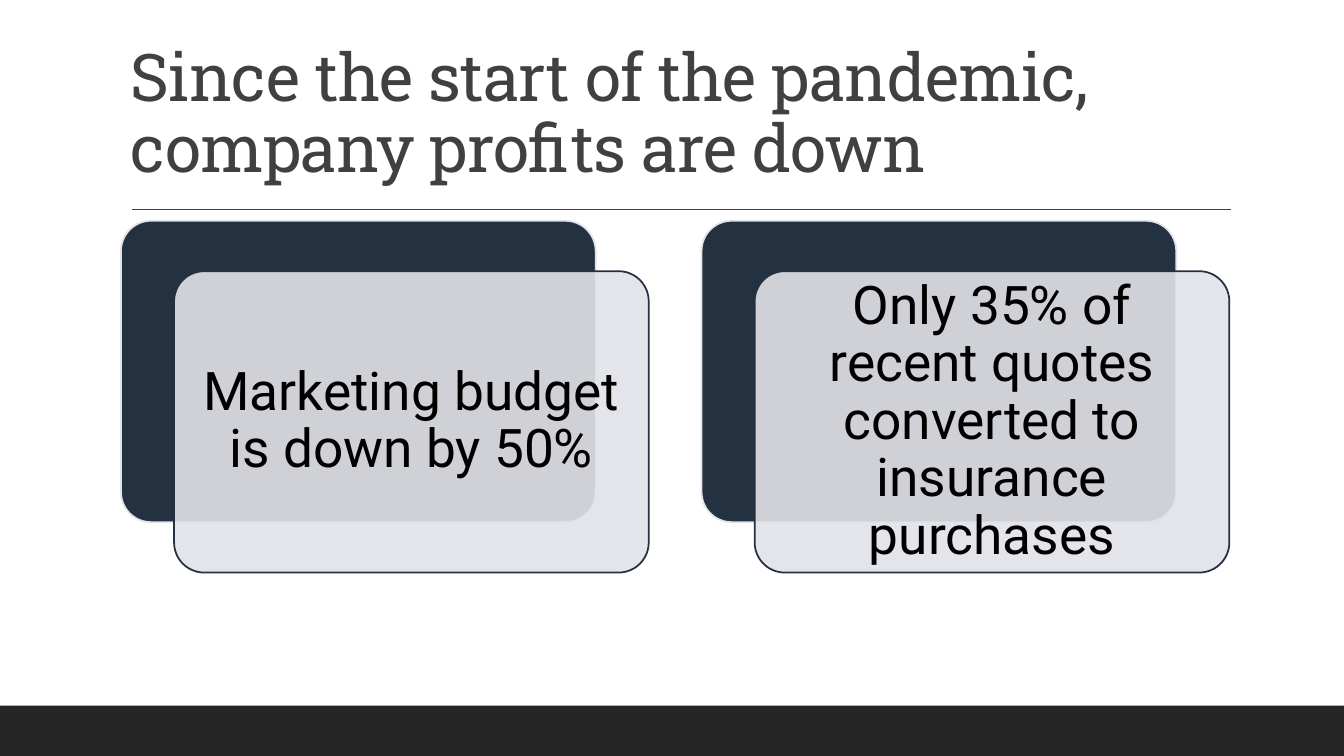
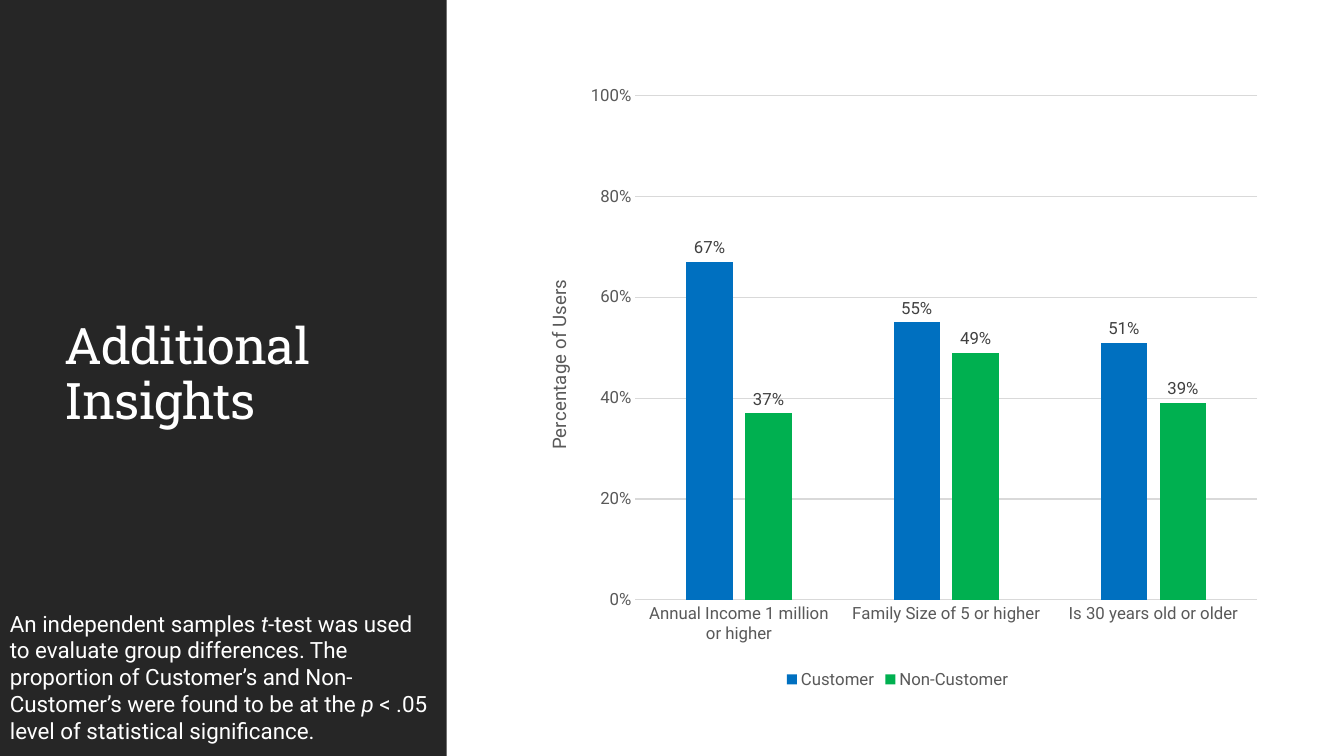
from dataclasses import dataclass

from lxml.etree import SubElement
from pptx import Presentation
from pptx.chart.data import CategoryChartData
from pptx.dml.color import RGBColor as RGB
from pptx.enum.chart import XL_CHART_TYPE as CHART, XL_LABEL_POSITION as LABEL
from pptx.enum.chart import XL_LEGEND_POSITION as LEGEND, XL_TICK_MARK as TICK
from pptx.enum.shapes import MSO_CONNECTOR as LINE, MSO_SHAPE as SHAPE
from pptx.enum.text import MSO_ANCHOR as ANCHOR, PP_ALIGN as ALIGN
from pptx.oxml.ns import qn
from pptx.util import Inches, Pt


@dataclass(frozen=True)
class Theme:
    heading: str = "Roboto Slab"
    body: str = "Roboto"
    white: str = "FFFFFF"
    black: str = "000000"
    ink: str = "404040"
    band: str = "262626"
    navy: str = "243141"
    mist: str = "E2E3E8"
    axis: str = "595959"
    grid: str = "D9D9D9"
    series: tuple = ("0070C0", "00B050")
    title_size: float = 47
    side_title_size: float = 36
    card_size: float = 38
    note_size: float = 16
    axis_title_size: float = 13.3
    chart_size: float = 12


T = Theme()
WIDTH, HEIGHT = Inches(13.333), Inches(7.5)
PANEL = 33.23


def box(x, y, w, h):
    return tuple(int(share * side / 100)
                 for share, side in zip((x, y, w, h), (WIDTH, HEIGHT) * 2))


def apply(target, **values):
    for name, value in values.items():
        setattr(target, name, value)


def set_font(font, size, color, name=T.body, **values):
    apply(font, name=name, size=Pt(size), **values)
    font.color.rgb = RGB.from_string(color)


def set_line(line, color, width):
    line.color.rgb = RGB.from_string(color)
    line.width = Pt(width)


def add_block(s, area, fill, kind=SHAPE.RECTANGLE, border=None, alpha=None):
    sp = s.shapes.add_shape(kind, *box(*area))
    sp.shadow.inherit = False
    sp.fill.solid()
    sp.fill.fore_color.rgb = RGB.from_string(fill)
    if alpha:
        color = sp.fill._xPr.find(".//" + qn("a:srgbClr"))
        SubElement(color, qn("a:alpha"), val=str(alpha * 1000))
    if border:
        set_line(sp.line, border, 1.25)
    else:
        sp.line.fill.background()
    return sp


def add_text(s, area, runs, size, color, name=T.body, anchor=ANCHOR.TOP,
             align=ALIGN.LEFT, spacing=None, tracking=None, inset=None):
    tf = s.shapes.add_textbox(*box(*area)).text_frame
    apply(tf, word_wrap=True, vertical_anchor=anchor)
    if inset:
        apply(tf, **{f"margin_{side}": Inches(inset)
                     for side in ("left", "top", "right", "bottom")})
    p = tf.paragraphs[0]
    apply(p, alignment=align, line_spacing=spacing)
    for text, italic in runs:
        r = p.add_run()
        r.text = text
        set_font(r.font, size, color, name, italic=italic)
        if tracking:
            r.font._element.set("spc", str(tracking))


def add_title(s, area, text, size, color, anchor):
    add_text(s, area, [(text, False)], size, color, T.heading, anchor,
             spacing=0.9, tracking=-50)


def add_rule(s, x, y, w):
    left, top, length, _ = box(x, y, w, 0)
    rule = s.shapes.add_connector(LINE.STRAIGHT, left, top, left + length, top)
    set_line(rule.line, T.ink, 1)
    SubElement(rule._element.spPr, qn("a:effectLst"))


def add_card(s, x, y, text):
    w, h = 35.32, 39.87
    shift_x, shift_y = 3.95, 6.67
    pad_x, pad_y = 0.63, 1.13
    front_x, front_y = x + shift_x, y + shift_y
    back = add_block(s, (x, y, w, h), T.navy, SHAPE.ROUNDED_RECTANGLE, T.mist)
    front = add_block(s, (front_x, front_y, w, h), T.mist,
                      SHAPE.ROUNDED_RECTANGLE, T.navy, alpha=90)
    for sp in (back, front):
        sp.adjustments[0] = 0.1
    add_text(s, (front_x + pad_x, front_y + pad_y, w - 2 * pad_x, h - 2 * pad_y),
             [(text, False)], T.card_size, T.black, anchor=ANCHOR.MIDDLE,
             align=ALIGN.CENTER, spacing=0.9, inset=0.16)


def place_plot(chart, **shares):
    area = chart._chartSpace.chart.plotArea
    layout = area.find(qn("c:layout"))
    if layout is None:
        layout = SubElement(area, qn("c:layout"))
        area.insert(0, layout)
    manual = SubElement(layout, qn("c:manualLayout"))
    values = {"layoutTarget": "inner", "xMode": "edge", "yMode": "edge", **shares}
    for name, value in values.items():
        SubElement(manual, qn("c:" + name), val=str(value))


def format_axes(chart, title):
    for axis in (chart.category_axis, chart.value_axis):
        apply(axis, major_tick_mark=TICK.NONE, minor_tick_mark=TICK.NONE)
        set_font(axis.tick_labels.font, T.chart_size, T.axis)
    set_line(chart.category_axis.format.line, T.grid, 0.75)
    axis = chart.value_axis
    apply(axis, minimum_scale=0, maximum_scale=1, major_unit=0.2,
          has_major_gridlines=True)
    apply(axis.tick_labels, number_format="0%", number_format_is_linked=False)
    axis.format.line.fill.background()
    set_line(axis.major_gridlines.format.line, T.grid, 0.75)
    p = axis.axis_title.text_frame.paragraphs[0]
    r = p.add_run()
    r.text = title
    set_font(r.font, T.axis_title_size, T.axis, bold=False)


def add_columns(s, area, categories, series, axis_title):
    data = CategoryChartData(number_format="0%")
    data.categories = categories
    for name, values in series.items():
        data.add_series(name, values)
    chart = s.shapes.add_chart(CHART.COLUMN_CLUSTERED, *box(*area), data).chart
    set_font(chart.font, T.chart_size, T.axis)
    apply(chart, has_title=False, has_legend=True)
    apply(chart.legend, position=LEGEND.BOTTOM, include_in_layout=False)
    set_font(chart.legend.font, T.chart_size, T.axis)
    plot = chart.plots[0]
    apply(plot, gap_width=219, overlap=-27, vary_by_categories=False)
    for column, color in zip(plot.series, T.series):
        column.format.fill.solid()
        column.format.fill.fore_color.rgb = RGB.from_string(color)
        labels = column.data_labels
        apply(labels, show_value=True, position=LABEL.OUTSIDE_END,
              number_format="0%", number_format_is_linked=False)
        set_font(labels.font, T.chart_size, T.ink)
    format_axes(chart, axis_title)
    place_plot(chart, x=0.15, y=0.04, w=0.83, h=0.81)


def build_profits(s):
    add_title(s, (9, 4.13, 82.5, 21.2),
              "Since the start of the pandemic, company profits are down",
              T.title_size, T.ink, ANCHOR.BOTTOM)
    add_rule(s, 9.83, 27.73, 81.75)
    add_block(s, (0, 93.33, 100, 6.67), T.band)
    cards = ("Marketing budget is down by 50%",
             "Only 35% of recent quotes converted to insurance purchases")
    for column, text in enumerate(cards):
        add_card(s, 9 + 43.2 * column, 29.2, text)


def build_insights(s):
    add_block(s, (0, 0, PANEL, 100), T.band)
    add_title(s, (4.05, 7.6, 25.28, 84.13), "Additional Insights",
              T.side_title_size, T.white, ANCHOR.MIDDLE)
    add_columns(s, (38.92, 9.33, 55.73, 82.4),
                ("Annual Income 1 million or higher",
                 "Family Size of 5 or higher", "Is 30 years old or older"),
                {"Customer": (0.67, 0.55, 0.51),
                 "Non-Customer": (0.37, 0.49, 0.39)},
                "Percentage of Users")
    add_text(s, (0, 80, PANEL, 19.33), [
        ("An independent samples ", False),
        ("t", True),
        ("-test was used to evaluate group differences. The proportion of "
         "Customer’s and Non-Customer’s were found to be at the ", False),
        ("p", True),
        (" < .05 level of statistical significance.", False),
    ], T.note_size, T.white)


def main():
    prs = Presentation()
    apply(prs, slide_width=WIDTH, slide_height=HEIGHT)
    for build in (build_profits, build_insights):
        build(prs.slides.add_slide(prs.slide_layouts[6]))
    prs.save("out.pptx")


main()
